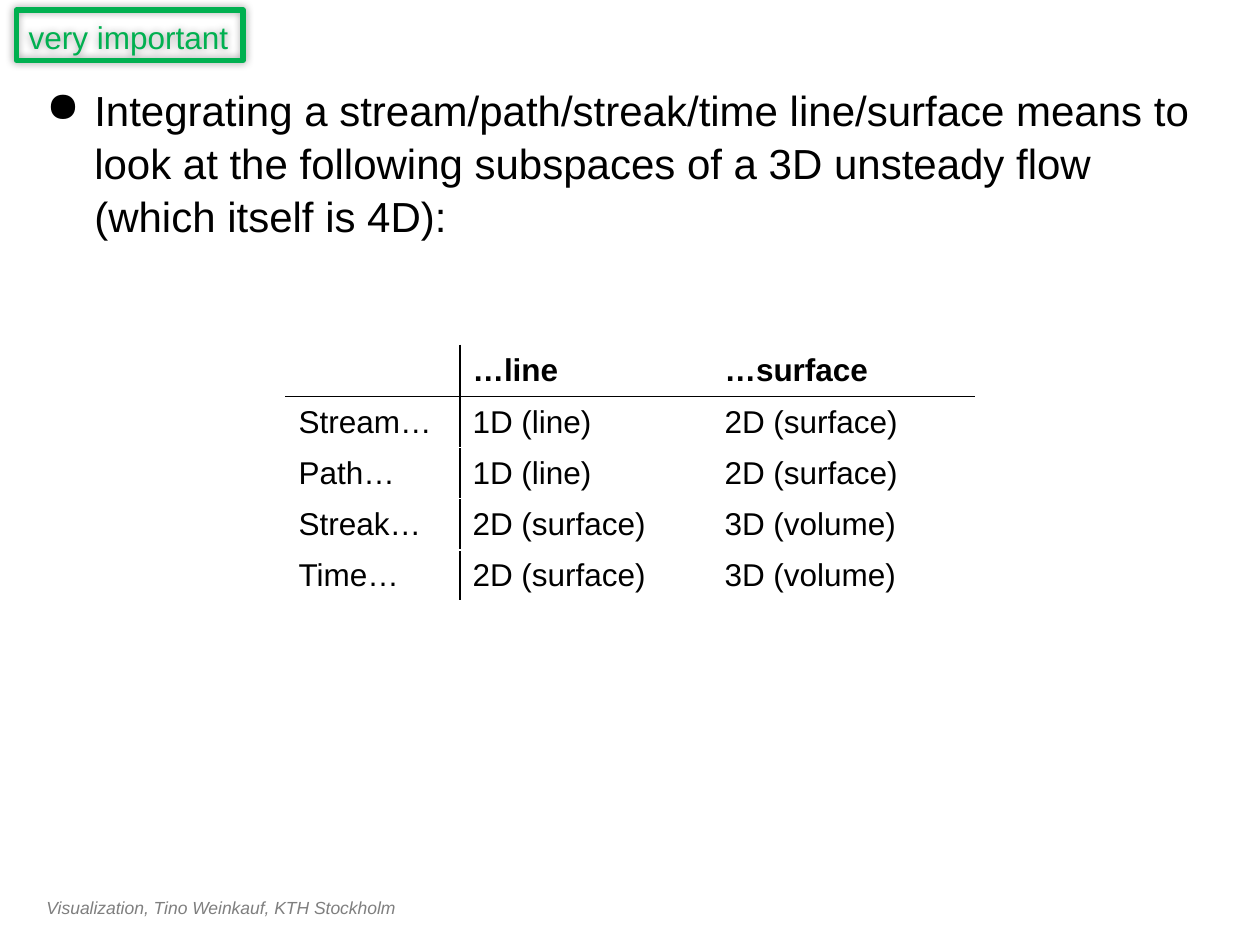
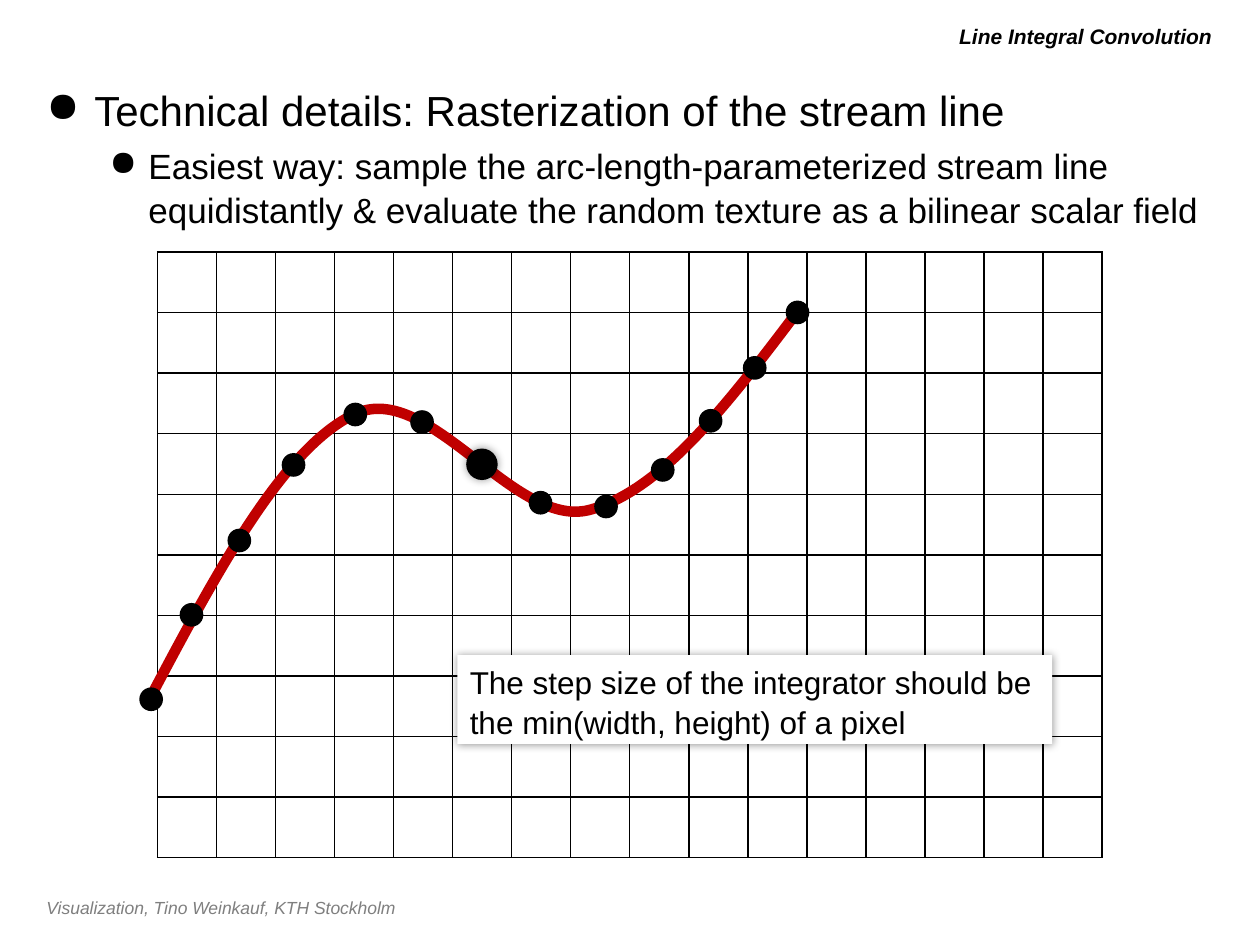
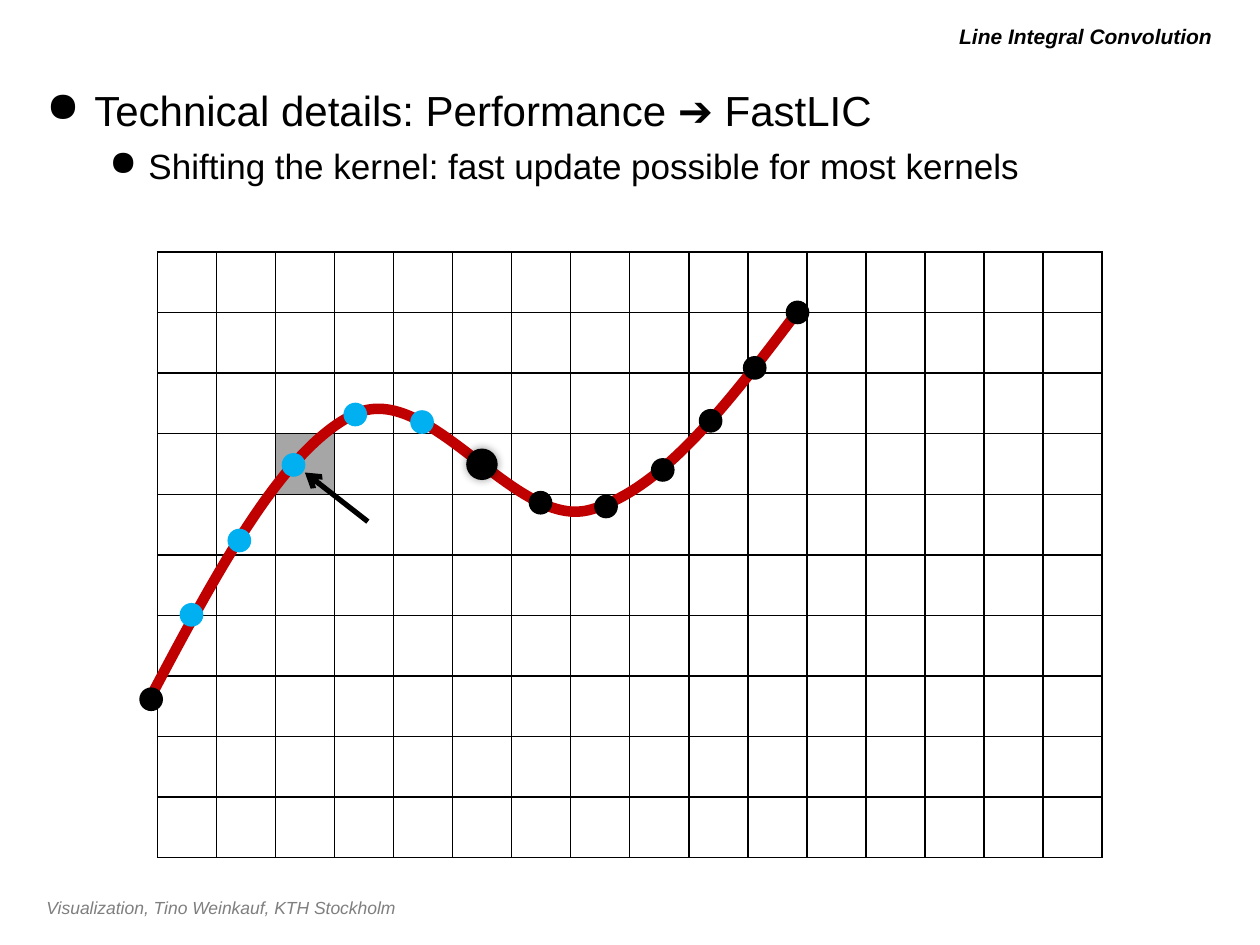
from lxml import etree
from pptx import Presentation
from pptx.dml.color import RGBColor
from pptx.enum.shapes import MSO_CONNECTOR, MSO_SHAPE
from pptx.enum.text import MSO_ANCHOR, PP_ALIGN
from pptx.oxml.ns import qn
from pptx.util import Inches, Pt

RECTANGLE, ELLIPSE = MSO_SHAPE.RECTANGLE, MSO_SHAPE.OVAL
STRAIGHT = MSO_CONNECTOR.STRAIGHT
LEFT, RIGHT = PP_ALIGN.LEFT, PP_ALIGN.RIGHT
TOP = MSO_ANCHOR.TOP

deck = Presentation()
deck.slide_width, deck.slide_height = Inches(10), Inches(7.5)
UNIT = deck.slide_width / 100  # the slide is a grid of 100 columns and 75 rows

COLORS = {name: RGBColor.from_string(value) for name, value in {
    "black": "000000", "white": "FFFFFF", "gray": "7F7F7F", "pixel": "A6A6A6",
    "green": "00B050", "red": "C00000", "blue": "00B0F0",
}.items()}

# size, colour, bold, italic, alignment, bullet indent (left, hanging), space before
STYLES = {
    "footer": (10, "gray", False, True, LEFT, None, 0),
    "title": (12, "black", True, True, RIGHT, None, 0),
    "point": (24, "black", False, False, LEFT, (3.8, 3.8), 0),
    "detail": (20, "black", False, False, LEFT, (8.1, 3.1), 4.5),
    "plain": (18, "black", False, False, LEFT, None, 0),
    "header": (18, "black", True, False, LEFT, None, 0),
    "tag": (18, "green", False, False, LEFT, None, 0),
}

FOOTER_AREA = (2.7, 70.6, 73.9, 2.7)
TITLE_AREA = (15.8, 1.3, 81.4, 3.1)
BODY_AREA = (2.7, 6, 94.5, 63)

DIMENSIONS = [
    ["", "…line", "…surface"],
    ["Stream…", "1D (line)", "2D (surface)"],
    ["Path…", "1D (line)", "2D (surface)"],
    ["Streak…", "2D (surface)", "3D (volume)"],
    ["Time…", "2D (surface)", "3D (volume)"],
]
DIMENSION_TABLE = (22.7, 27.4, [13.8, 20, 20.8], 4.06, DIMENSIONS)
PIXEL_GRID = (12.5, 20, [75 / 16] * 16, 4.81, [[""] * 16 for row in range(10)])

STREAM_LINE = [
    (11.7, 55.8),
    (17.1, 45.6), (22.5, 35.4), (28.3, 32.8),
    (34.1, 30.3), (40.8, 41.9), (46.7, 40.5),
    (52.6, 39), (58.1, 31.6), (63.7, 24.2),
]
SAMPLES = [
    (12, 55.5), (15.2, 48.8), (19, 42.9), (23.3, 36.9), (28.2, 32.9),
    (33.5, 33.5), (38.25, 36.85), (42.9, 39.9), (48.1, 40.2), (52.6, 37.3),
    (56.4, 33.4), (59.9, 29.2), (63.3, 24.8),
]
CENTER_SAMPLE = 6
KERNEL = range(1, 6)

SLIDES = [
    {
        "body": ["Integrating a stream/path/streak/time line/surface means to look at "
                 "the following subspaces of a 3D unsteady flow (which itself is 4D):"],
        "table": DIMENSION_TABLE,
        "tag": "very important",
    },
    {
        "title": "Line Integral Convolution",
        "body": ["Technical details: Rasterization of the stream line",
                 "Easiest way: sample the arc-length-parameterized stream line equidistantly "
                 "& evaluate the random texture as a bilinear scalar field"],
        "table": PIXEL_GRID,
        "kernel": [],
        "callout": "The step size of the integrator should be "
                   "the min(width, height) of a pixel",
    },
    {
        "title": "Line Integral Convolution",
        "body": ["Technical details: Performance ➔ FastLIC",
                 "Shifting the kernel: fast update possible for most kernels"],
        "table": PIXEL_GRID,
        "kernel": KERNEL,
        "marked": (3, 2),
        "arrow": (29.2, 41.4, 24.2, 37.5),
    },
]


def grid(*lengths):
    """Turn lengths in grid units into EMU."""
    return [round(length * UNIT) for length in lengths]


def write(frame, lines):
    """Fill a text frame with (text, style name) paragraphs."""
    frame.word_wrap = True
    frame.vertical_anchor = TOP
    for index, (text, style) in enumerate(lines):
        size, color, bold, italic, align, indent, before = STYLES[style]
        para = frame.add_paragraph() if index else frame.paragraphs[0]
        para.text = text
        para.alignment = align
        para.line_spacing = 1.05
        if before:
            para.space_before = Pt(before)
        if indent:
            left, hanging = grid(*indent)
            properties = para._p.get_or_add_pPr()
            properties.set("marL", str(left))
            properties.set("indent", str(-hanging))
            etree.SubElement(properties, qn("a:buChar"), char="●")
            para.level = index
        for span in para.runs:
            span.font.name = "Arial"
            span.font.size = Pt(size)
            span.font.bold, span.font.italic = bold, italic
            span.font.color.rgb = COLORS[color]


for content in SLIDES:
    page = deck.slides.add_slide(deck.slide_layouts[6])
    shapes = page.shapes

    # Table: black rules around every pixel, or only beside the header row and column
    left, top, widths, row_height, rows = content["table"]
    area = grid(left, top, sum(widths), row_height * len(rows))
    table = shapes.add_table(len(rows), len(widths), *area).table
    table.first_row = table.horz_banding = False
    for column, width in zip(table.columns, widths):
        column.width = grid(width)[0]
    for r, texts in enumerate(rows):
        table.rows[r].height = grid(row_height)[0]
        for c, text in enumerate(texts):
            cell = table.cell(r, c)
            write(cell.text_frame, [(text, "plain" if r else "header")])
            if content.get("marked") == (r, c):
                cell.fill.solid()
                cell.fill.fore_color.rgb = COLORS["pixel"]
            else:
                cell.fill.background()
            ruled = {"lnL": c == 1, "lnR": c == 0, "lnT": r == 1, "lnB": r == 0}
            for position, (side, dark) in enumerate(ruled.items()):
                border = etree.Element(qn("a:" + side), w=str(Pt(1)))
                fill = etree.SubElement(border, qn("a:solidFill"))
                color = "black" if dark or rows is not DIMENSIONS else "white"
                etree.SubElement(fill, qn("a:srgbClr"), val=str(COLORS[color]))
                cell._tc.get_or_add_tcPr().insert(position, border)

    # Footer, title and body
    texts = [
        (FOOTER_AREA, [("Visualization, Tino Weinkauf, KTH Stockholm", "footer")]),
        (BODY_AREA, list(zip(content["body"], ["point", "detail"]))),
    ]
    if "title" in content:
        texts.append((TITLE_AREA, [(content["title"], "title")]))
    for area, lines in texts:
        write(shapes.add_textbox(*grid(*area)).text_frame, lines)

    # Stream line: every three points after the start form one Bezier segment
    figures = []  # kind, area, fill, glow, text, text style
    if "kernel" in content:
        points = [grid(*point) for point in STREAM_LINE]
        builder = shapes.build_freeform(*points[0])
        builder.add_line_segments(points[1:], close=False)
        curve = builder.convert_to_shape()
        curve.shadow.inherit = False
        curve.fill.background()
        curve.line.color.rgb = COLORS["red"]
        curve.line.width = Pt(6)
        segments = list(curve._element.iter(qn("a:lnTo")))
        outline = segments[0].getparent()
        for start in range(0, len(segments), 3):
            bezier = etree.SubElement(outline, qn("a:cubicBezTo"))
            for segment in segments[start:start + 3]:
                bezier.append(segment[0])
                outline.remove(segment)

        for index, (x, y) in enumerate(SAMPLES):
            central = index == CENTER_SAMPLE
            size = 2.5 if central else 1.88
            color = "blue" if index in content["kernel"] else "black"
            area = (x - size / 2, y - size / 2, size, size)
            figures.append((ELLIPSE, area, color, central, "", "plain"))

    if "callout" in content:
        area = (36.3, 52, 47.2, 7.05)
        figures.append((RECTANGLE, area, "white", True, content["callout"], "plain"))
    if "tag" in content:
        area = (1.3, 0.8, 18, 4)
        figures.append((RECTANGLE, area, None, True, content["tag"], "tag"))

    for kind, area, color, glow, text, style in figures:
        figure = shapes.add_shape(kind, *grid(*area))
        figure.shadow.inherit = False
        if color:
            figure.fill.solid()
            figure.fill.fore_color.rgb = COLORS[color]
            figure.line.fill.background()
        else:
            figure.fill.background()
            figure.line.color.rgb = COLORS["green"]
            figure.line.width = Pt(3)
        if text:
            write(figure.text_frame, [(text, style)])
            figure.text_frame.word_wrap = style != "tag"
        if glow:
            effects = figure._element.spPr.find(qn("a:effectLst"))
            shadow = etree.SubElement(effects, qn("a:outerShdw"), blurRad=str(Pt(5)), dist="0")
            tint = etree.SubElement(shadow, qn("a:srgbClr"), val=str(COLORS["black"]))
            etree.SubElement(tint, qn("a:alpha"), val="40000")

    if "arrow" in content:
        arrow = shapes.add_connector(STRAIGHT, *grid(*content["arrow"]))
        arrow.line.color.rgb = COLORS["black"]
        arrow.line.width = Pt(3)
        etree.SubElement(arrow.line._get_or_add_ln(), qn("a:tailEnd"), type="arrow")
        etree.SubElement(arrow._element.spPr, qn("a:effectLst"))

deck.save("out.pptx")
